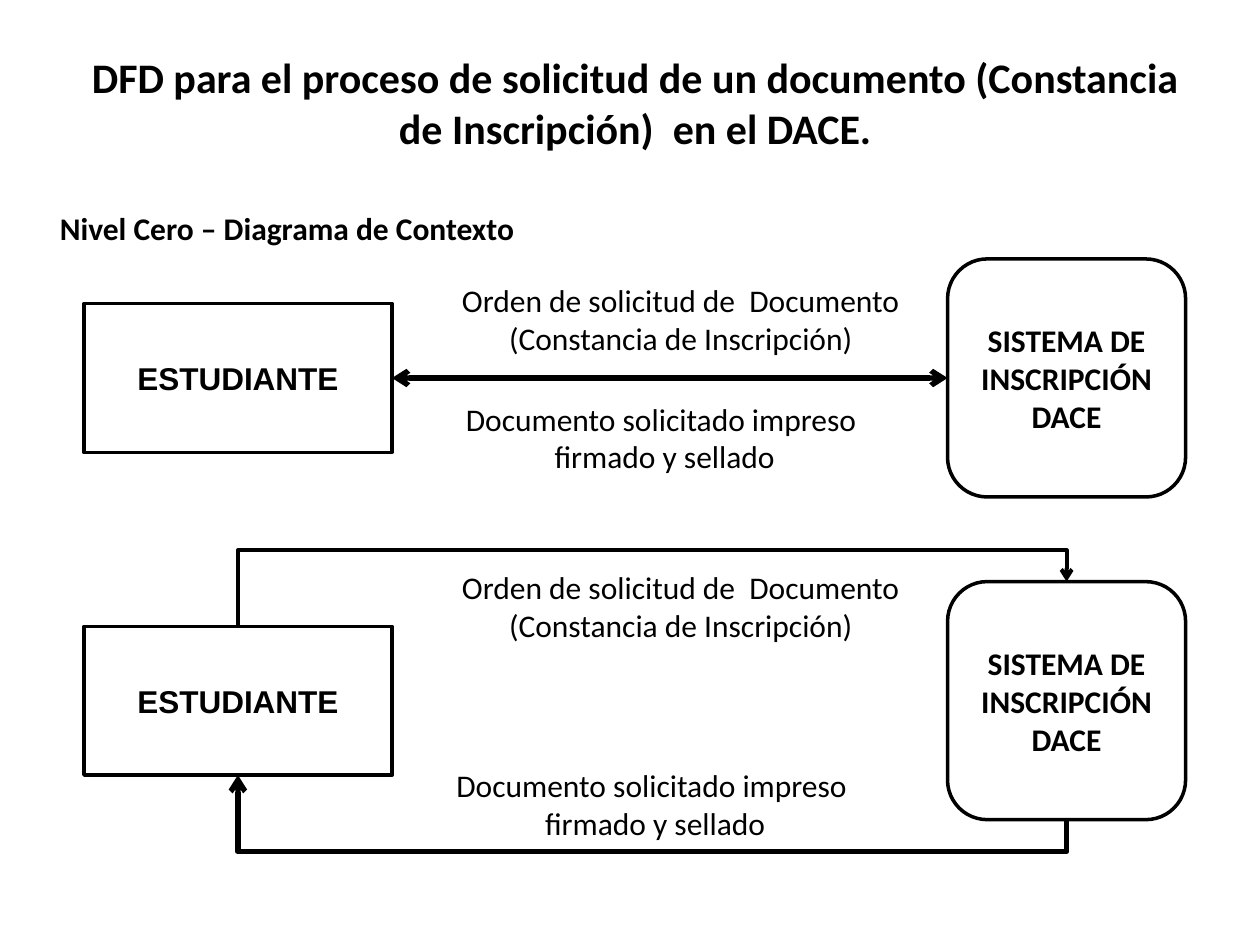
from lxml import etree
from pptx import Presentation
from pptx import util as u
from pptx.dml import color
from pptx.enum import shapes, text
from pptx.oxml import ns

COLORS = {"ink": "000000", "paper": "FFFFFF"}
ORDER = "Orden de solicitud de  Documento (Constancia de Inscripción)"
REPLY = "Documento solicitado impreso  firmado y sellado"


def rgb(name):
    return color.RGBColor.from_string(COLORS[name])


class Diagram:
    font = "Calibri"
    size = 18

    def __init__(self, page):
        self.page = page

    def set_words(self, shape, words, bold=False, font=None, size=None,
                  anchor=text.MSO_ANCHOR.TOP):
        frame = shape.text_frame
        frame.text = words
        frame.word_wrap = True
        frame.vertical_anchor = anchor
        para = frame.paragraphs[0]
        para.alignment = text.PP_ALIGN.CENTER
        for span in para.runs:
            span.font.name = font or self.font
            span.font.size = u.Pt(size or self.size)
            span.font.bold = bold
            span.font.color.rgb = rgb("ink")

    def title(self, words, left, top, width, height):
        title = self.page.shapes.title
        title.left, title.top = u.Pt(left), u.Pt(top)
        title.width, title.height = u.Pt(width), u.Pt(height)
        self.set_words(title, words, bold=True, size=24)
        title.text_frame.auto_size = text.MSO_AUTO_SIZE.SHAPE_TO_FIT_TEXT

    def label(self, words, left, top, width, height=51, bold=False):
        box = self.page.shapes.add_textbox(
            u.Pt(left), u.Pt(top), u.Pt(width), u.Pt(height))
        self.set_words(box, words, bold)
        box.text_frame.auto_size = text.MSO_AUTO_SIZE.SHAPE_TO_FIT_TEXT

    def node(self, kind, words, left, top, width, height, font=None):
        node = self.page.shapes.add_shape(
            kind, u.Pt(left), u.Pt(top), u.Pt(width), u.Pt(height))
        node.shadow.inherit = False
        node.fill.solid()
        node.fill.fore_color.rgb = rgb("paper")
        node.line.color.rgb = rgb("ink")
        node.line.width = u.Pt(2)
        self.set_words(node, words, True, font, anchor=text.MSO_ANCHOR.MIDDLE)
        return node

    def pair(self, middle):
        student = self.node(shapes.MSO_SHAPE.RECTANGLE, "ESTUDIANTE",
                            48, middle - 42.5, 176, 85, "Arial")
        system = self.node(shapes.MSO_SHAPE.ROUNDED_RECTANGLE,
                           "SISTEMA DE INSCRIPCIÓN DACE",
                           541.5, middle - 68, 136, 136)
        return student, system

    def style_line(self, line, width, ends):
        line.line.color.rgb = rgb("ink")
        line.line.width = u.Pt(width)
        properties = line._element.spPr
        outline = properties.find(ns.qn("a:ln"))
        for end in ends:
            etree.SubElement(outline, ns.qn(f"a:{end}"), type="arrow")
        etree.SubElement(properties, ns.qn("a:effectLst"))

    def double_arrow(self, start, end, width):
        line = self.page.shapes.add_connector(
            shapes.MSO_CONNECTOR.STRAIGHT, 0, 0, 0, 0)
        line.begin_connect(start, 3)
        line.end_connect(end, 1)
        self.style_line(line, width, ["headEnd", "tailEnd"])

    def detour(self, start, end, rail, width):
        (x1, y1), (x2, y2) = start, end
        across, down = abs(x2 - x1), abs(y2 - y1)
        line = self.page.shapes.add_connector(
            shapes.MSO_CONNECTOR.ELBOW, 0, 0, 0, 0)
        line.left = u.Pt((x1 + x2 - down) / 2)
        line.top = u.Pt((y1 + y2 - across) / 2)
        line.width, line.height = u.Pt(down), u.Pt(across)
        properties = line._element.spPr
        frame = properties.find(ns.qn("a:xfrm"))
        frame.set("rot", str(90 * 60000))
        frame.set("flipH", str(int(y2 < y1)))
        frame.set("flipV", str(int(x2 > x1)))
        guides = properties.find(ns.qn("a:prstGeom")).get_or_add_avLst()
        bend = round((rail - y1) / (y2 - y1) * 100000)
        etree.SubElement(guides, ns.qn("a:gd"), name="adj1", fmla=f"val {bend}")
        self.style_line(line, width, ["tailEnd"])


def side(node, bottom):
    y = node.top + node.height * bottom
    return u.Length(node.left + node.width // 2).pt, u.Length(y).pt


def main():
    deck = Presentation()
    deck.slide_width, deck.slide_height = u.Pt(720), u.Pt(540)
    diagram = Diagram(deck.slides.add_slide(deck.slide_layouts[5]))

    diagram.title("DFD para el proceso de solicitud de un documento "
                  "(Constancia de Inscripción)  en el DACE.",
                  42.5, 26, 641, 65.5)
    diagram.label("Nivel Cero – Diagrama de Contexto",
                  -14.4, 116, 357, 29, bold=True)

    student, system = diagram.pair(216)
    diagram.double_arrow(student, system, 3)
    diagram.label(ORDER, 247, 157, 284)
    diagram.label(REPLY, 252, 224.8, 255.6)

    student, system = diagram.pair(400.4)
    diagram.label(ORDER, 247, 321, 284)
    diagram.label(REPLY, 241.2, 434.3, 266.4)
    diagram.detour(side(student, 0), side(system, 0), 314.5, 2.25)
    diagram.detour(side(system, 1), side(student, 1), 486.7, 3)

    deck.save("out.pptx")


if __name__ == "__main__":
    main()
